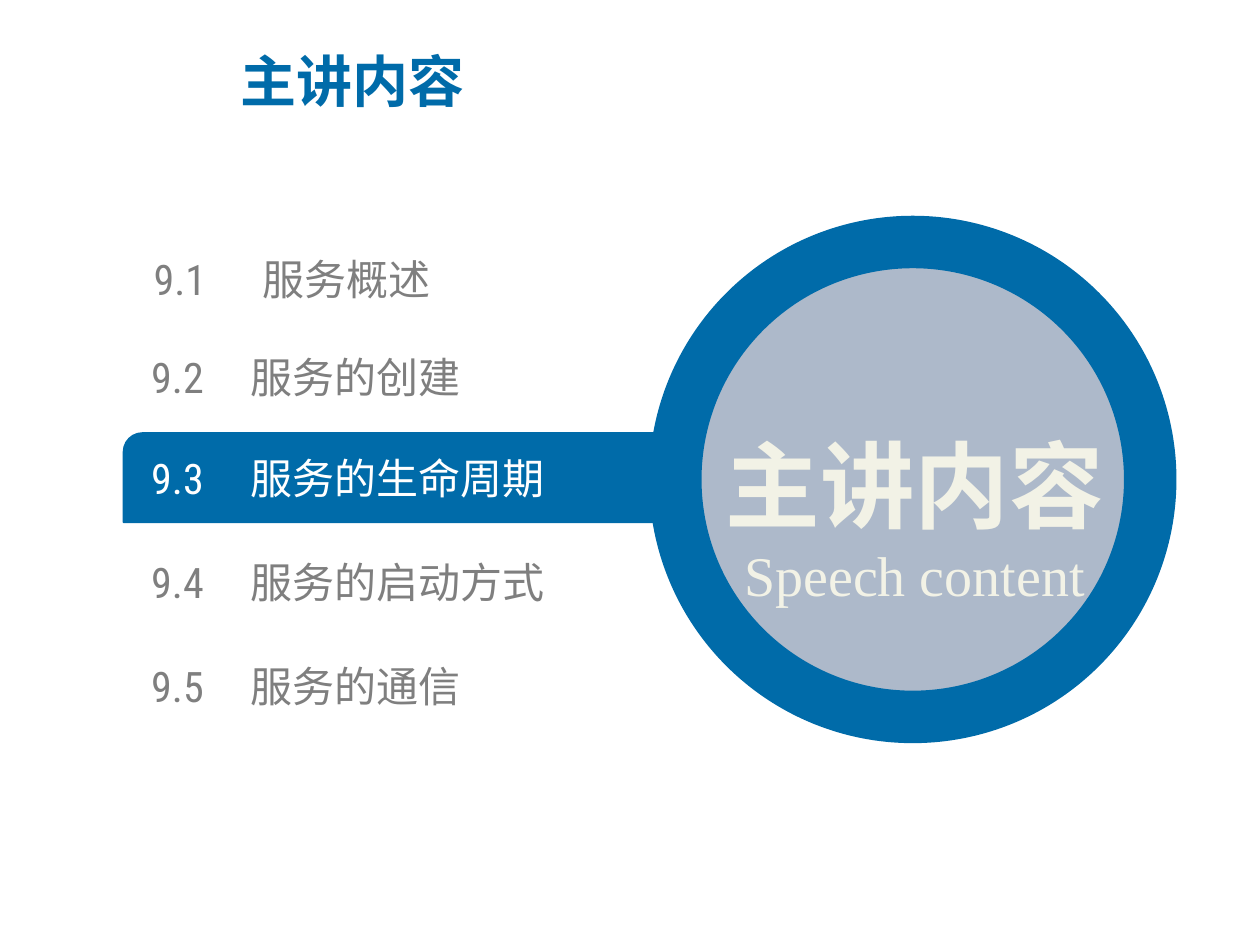
from dataclasses import dataclass

import pptx
import pptx.dml.color
import pptx.enum.shapes
import pptx.enum.text
import pptx.oxml.ns
import pptx.util
from lxml import etree

Pt = pptx.util.Pt
RGB = pptx.dml.color.RGBColor
Shape = pptx.enum.shapes.MSO_SHAPE
Align = pptx.enum.text.PP_ALIGN
Anchor = pptx.enum.text.MSO_ANCHOR
qn = pptx.oxml.ns.qn

BLUE = RGB(0x00, 0x6B, 0xA9)
STEEL = RGB(0xAD, 0xB9, 0xCA)
GRAY = RGB(0x7F, 0x7F, 0x7F)
CREAM = RGB(0xF2, 0xF2, 0xE6)
WHITE = RGB(0xFF, 0xFF, 0xFF)
HAN = "Noto Sans CJK SC"


@dataclass
class Row:
    num: str
    name: str
    top: float
    left: float = 86.4
    tab: float = 57
    color: RGB = GRAY


ROWS = [
    Row("9.1", "服务概述", 144.7, left=87.8, tab=62),
    Row("9.2", "服务的创建", 200.9),
    Row("9.3", "服务的生命周期", 258.5, color=WHITE),
    Row("9.4", "服务的启动方式", 318.2),
    Row("9.5", "服务的通信", 377.3),
]


def write(para, text: str, *, size: float, color: RGB, font: str = HAN,
          bold: bool = False, align=Align.LEFT, space: float = 1,
          tab: float = 0) -> None:
    para.alignment = align
    para.line_spacing = space
    run = para.add_run()
    run.text = text
    run.font.size, run.font.bold, run.font.name = Pt(size), bold, font
    run.font.color.rgb = color
    props = run.font._element
    etree.SubElement(props, qn("a:ea"), typeface=HAN)
    if tab:
        stops = etree.SubElement(para._p.get_or_add_pPr(), qn("a:tabLst"))
        etree.SubElement(stops, qn("a:tab"), pos=str(Pt(tab)), algn="l")


def add_text(slide, left: float, top: float, width: float, height: float,
             inset: bool = True):
    """Add a wrapped, middle-anchored text box and return its frame."""
    box = slide.shapes.add_textbox(Pt(left), Pt(top), Pt(width), Pt(height))
    frame = box.text_frame
    frame.word_wrap = True
    frame.vertical_anchor = Anchor.MIDDLE
    if not inset:
        frame.margin_left = frame.margin_right = 0
        frame.margin_top = frame.margin_bottom = 0
    return frame


def add_shape(slide, kind, left: float, top: float, width: float,
              height: float, fill: RGB, line: float):
    shape = slide.shapes.add_shape(
        kind, Pt(left), Pt(top), Pt(width), Pt(height))
    shape.shadow.inherit = False
    shape.fill.solid()
    shape.fill.fore_color.rgb = fill
    shape.line.color.rgb = BLUE
    shape.line.width = Pt(line)
    return shape


def add_title(slide, text: str) -> None:
    title = slide.shapes.title
    title.left, title.top = Pt(130.3), Pt(15.8)
    title.width, title.height = Pt(405.4), Pt(60.5)
    frame = title.text_frame
    frame.auto_size = pptx.enum.text.MSO_AUTO_SIZE.NONE
    frame.vertical_anchor = Anchor.MIDDLE
    write(frame.paragraphs[0], text, size=32, color=BLUE, bold=True)


def add_row(slide, row: Row) -> None:
    frame = add_text(slide, row.left, row.top, 301.7, 28.8, inset=False)
    write(frame.paragraphs[0], f"{row.num}\t{row.name}", size=24,
          color=row.color, font="Roboto Condensed", tab=row.tab)


def main() -> None:
    deck = pptx.Presentation()
    deck.slide_width, deck.slide_height = Pt(720), Pt(540)
    slide = deck.slides.add_slide(deck.slide_layouts.get_by_name("Title Only"))

    add_title(slide, "主讲内容")
    band = add_shape(slide, Shape.ROUND_2_DIAG_RECTANGLE,
                     70.6, 247.5, 431.3, 51, BLUE, 1)
    band.adjustments[0] = 0.21
    band.adjustments[1] = 0
    for row in ROWS:
        add_row(slide, row)

    add_shape(slide, Shape.OVAL, 385.9, 138.3, 271.4, 271.4, STEEL, 30)
    frame = add_text(slide, 382.3, 207.4, 280.8, 144)
    write(frame.paragraphs[0], "主讲内容", size=54, color=CREAM, bold=True,
          align=Align.CENTER, space=1.5)
    write(frame.add_paragraph(), "Speech content", size=32, color=CREAM,
          font="Times New Roman", align=Align.CENTER)

    deck.save("out.pptx")


if __name__ == "__main__":
    main()
